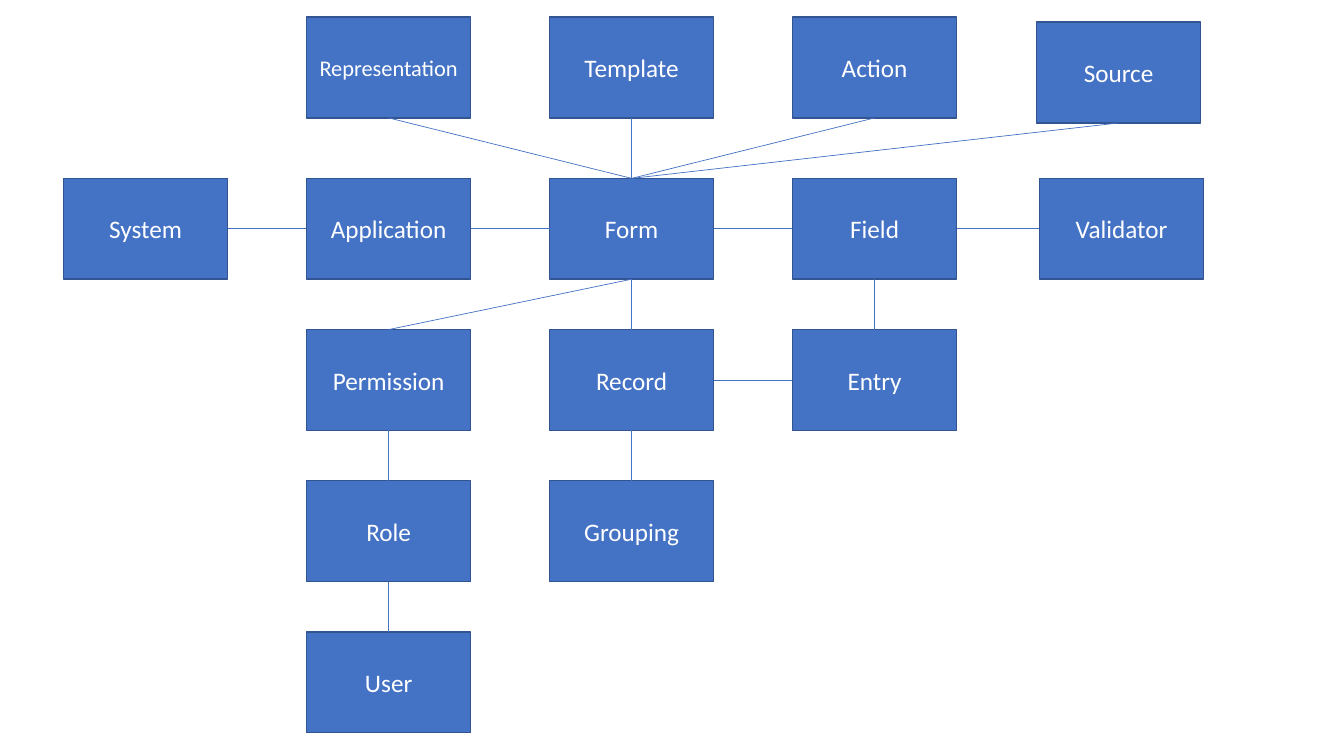
"""Build a slide showing how the entities of a form application relate."""
import dataclasses
import enum
import typing

import pptx
import pptx.dml.color
import pptx.enum.shapes
import pptx.enum.text
import pptx.oxml
import pptx.oxml.ns
import pptx.util

Inches = pptx.util.Inches
Pt = pptx.util.Pt

BLUE = pptx.dml.color.RGBColor(0x44, 0x72, 0xC4)
DARK_BLUE = pptx.dml.color.RGBColor(0x32, 0x54, 0x91)
WHITE = pptx.dml.color.RGBColor(0xFF, 0xFF, 0xFF)

BOX_WIDTH, BOX_HEIGHT = 1.63, 1.0
FIRST_LEFT, COLUMN_PITCH = 0.63, 2.41
HEADER_TOP, BODY_TOP, ROW_PITCH = 0.17, 1.77, 1.5
FRAME_FORMAT = {
    "word_wrap": True,
    "vertical_anchor": pptx.enum.text.MSO_ANCHOR.MIDDLE,
}


class Side(enum.IntEnum):
    TOP = 0
    LEFT = 1
    BOTTOM = 2
    RIGHT = 3


@dataclasses.dataclass(frozen=True)
class Entity:
    name: str
    column: int
    row: int
    size: int = 18
    shift_right: float = 0
    shift_down: float = 0

    @property
    def left(self) -> float:
        return FIRST_LEFT + self.column * COLUMN_PITCH + self.shift_right

    @property
    def top(self) -> float:
        row_top = BODY_TOP + (self.row - 1) * ROW_PITCH if self.row else HEADER_TOP
        return row_top + self.shift_down


@dataclasses.dataclass(frozen=True)
class Relation:
    start: str
    end: str
    start_side: Side = Side.BOTTOM
    end_side: Side = Side.TOP


ENTITIES = (
    Entity("Representation", 1, 0, size=16),
    Entity("Template", 2, 0),
    Entity("Action", 3, 0),
    Entity("Source", 4, 0, shift_right=0.01, shift_down=0.05),
    Entity("System", 0, 1),
    Entity("Application", 1, 1),
    Entity("Form", 2, 1),
    Entity("Field", 3, 1),
    Entity("Validator", 4, 1, shift_right=0.04),
    Entity("Permission", 1, 2),
    Entity("Record", 2, 2),
    Entity("Entry", 3, 2),
    Entity("Role", 1, 3),
    Entity("Grouping", 2, 3),
    Entity("User", 1, 4),
)
DOWNWARD = (
    ("Representation", "Form"),
    ("Template", "Form"),
    ("Action", "Form"),
    ("Source", "Form"),
    ("Form", "Permission"),
    ("Form", "Record"),
    ("Field", "Entry"),
    ("Permission", "Role"),
    ("Record", "Grouping"),
    ("Role", "User"),
)
ACROSS = (
    ("System", "Application"),
    ("Application", "Form"),
    ("Form", "Field"),
    ("Field", "Validator"),
    ("Record", "Entry"),
)
RELATIONS = (
    *(Relation(start, end) for start, end in DOWNWARD),
    *(Relation(start, end, Side.RIGHT, Side.LEFT) for start, end in ACROSS),
)


def apply_format(target: typing.Any, values: dict[str, typing.Any]) -> None:
    for name, value in values.items():
        setattr(target, name, value)


def draw_entity(slide: typing.Any, entity: Entity) -> typing.Any:
    shape = slide.shapes.add_shape(
        pptx.enum.shapes.MSO_SHAPE.RECTANGLE,
        Inches(entity.left), Inches(entity.top),
        Inches(BOX_WIDTH), Inches(BOX_HEIGHT),
    )
    shape.shadow.inherit = False
    shape.fill.solid()
    shape.fill.fore_color.rgb = BLUE
    shape.line.color.rgb = DARK_BLUE
    shape.line.width = Pt(1)
    apply_format(shape.text_frame, FRAME_FORMAT)
    paragraph = shape.text_frame.paragraphs[0]
    paragraph.alignment = pptx.enum.text.PP_ALIGN.CENTER
    run = paragraph.add_run()
    run.text = entity.name
    apply_format(run.font, {"name": "Calibri", "size": Pt(entity.size)})
    run.font.color.rgb = WHITE
    return shape


def draw_relation(
    slide: typing.Any, relation: Relation, boxes: dict[str, typing.Any]
) -> None:
    connector = slide.shapes.add_connector(
        pptx.enum.shapes.MSO_CONNECTOR.STRAIGHT, 0, 0, 0, 0
    )
    connector.begin_connect(boxes[relation.start], int(relation.start_side))
    connector.end_connect(boxes[relation.end], int(relation.end_side))
    connector.line.color.rgb = BLUE
    connector.line.width = Pt(0.5)
    properties = connector._element.spPr
    properties.append(
        properties.makeelement(pptx.oxml.ns.qn("a:effectLst"), {})
    )


def main() -> None:
    presentation = pptx.Presentation()
    apply_format(
        presentation,
        {"slide_width": Inches(13.33), "slide_height": Inches(7.5)},
    )
    slide = presentation.slides.add_slide(presentation.slide_layouts[6])
    boxes = {entity.name: draw_entity(slide, entity) for entity in ENTITIES}
    for relation in RELATIONS:
        draw_relation(slide, relation, boxes)
    presentation.save("out.pptx")


main()
